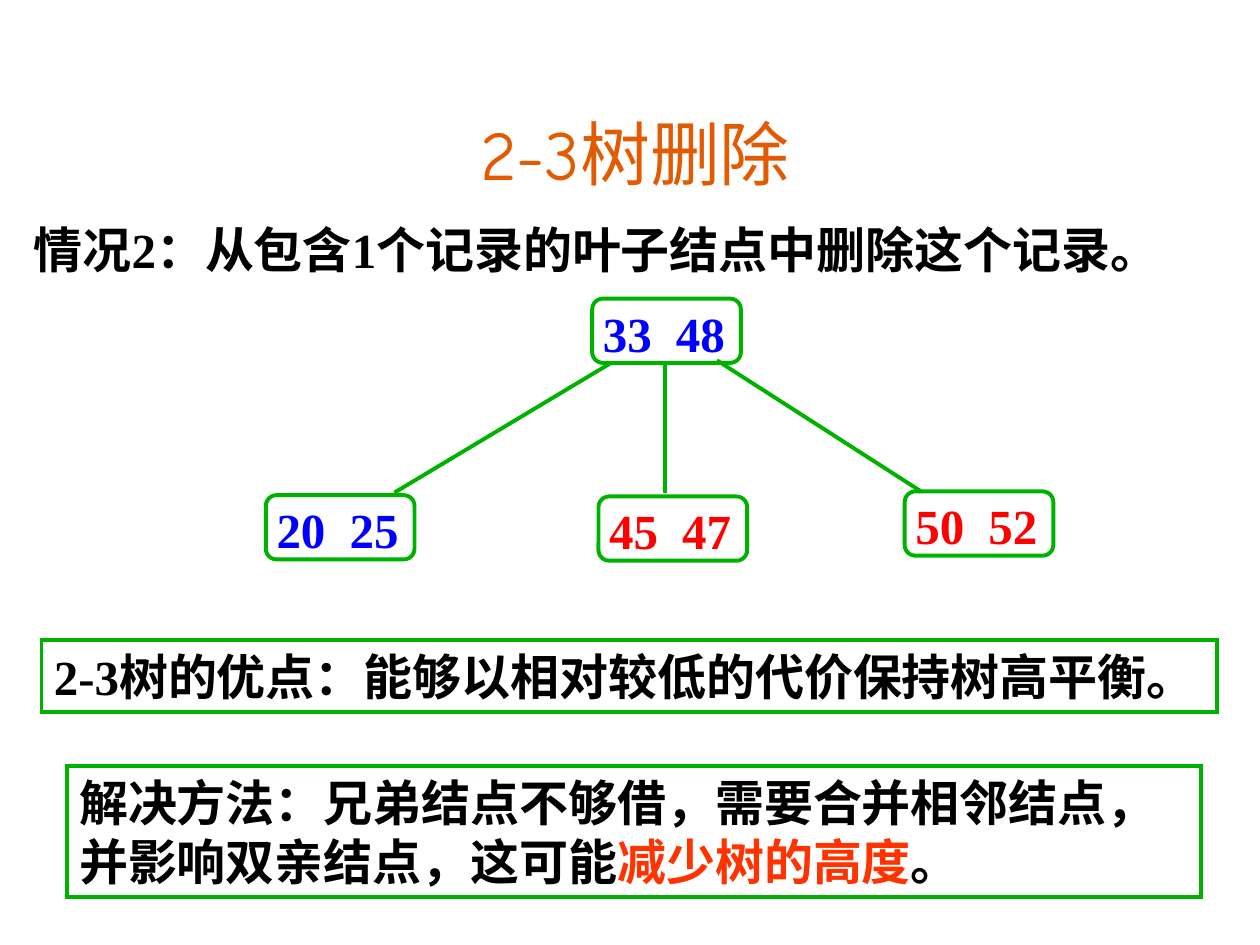
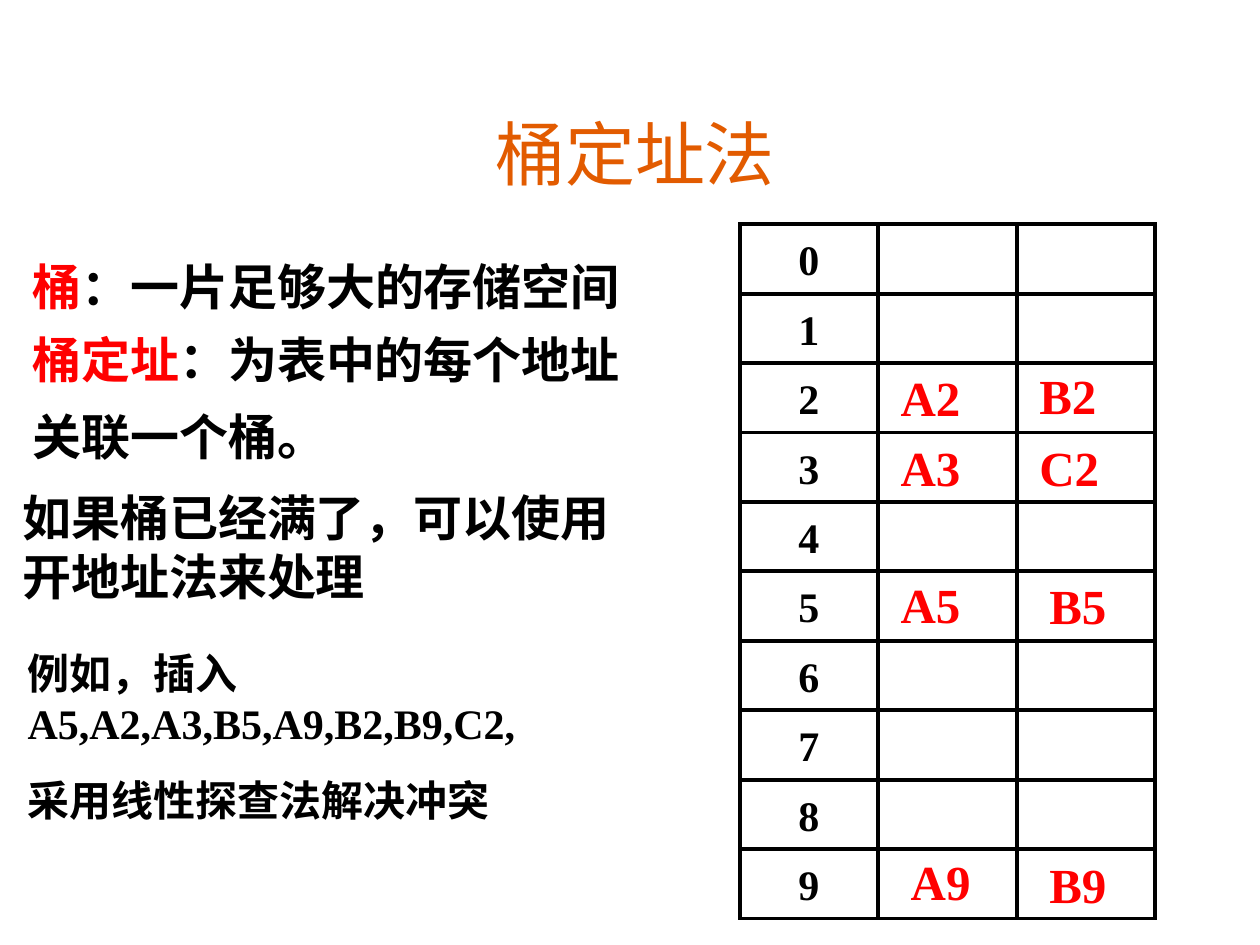
import pptx
import pptx.dml.color
import pptx.enum.shapes
import pptx.enum.text
import pptx.oxml.ns
import pptx.util
from lxml import etree
from pptx.util import Inches, Pt

BODY_FONT, TITLE_FONT = "Times New Roman", "Comic Neue"
BLACK, WHITE, RED, BLUE = "000000", "FFFFFF", "FF0000", "0000FF"
GREEN, ORANGE, VERMILION = "00B200", "E25B00", "FF3300"
LINE_WIDTH = Pt(2.25)
TEXT_INSETS = (0.1, 0.05, 0.1, 0.05)
ANCHOR = pptx.enum.text.MSO_ANCHOR
ALIGN = pptx.enum.text.PP_ALIGN
SHAPE = pptx.enum.shapes.MSO_SHAPE
qn = pptx.oxml.ns.qn


# Shared helpers
def color(hex_string):
    return pptx.dml.color.RGBColor.from_string(hex_string)


def add_run(paragraph, text, hex_string, size=28, font=BODY_FONT, bold=True):
    run = paragraph.add_run()
    run.text = text
    run.font.name = font
    run.font.size = Pt(size)
    run.font.bold = bold
    run.font.color.rgb = color(hex_string)


def set_frame(frame, insets=TEXT_INSETS, anchor=ANCHOR.TOP, wrap=True):
    frame.margin_left, frame.margin_top, frame.margin_right, frame.margin_bottom = map(Inches, insets)
    frame.vertical_anchor = anchor
    frame.word_wrap = wrap


def add_text(slide, box, paragraphs, size=28, anchor=ANCHOR.TOP, wrap=True,
             space_before=0, line_spacing=None):
    """Each paragraph is a list of (text, colour) runs."""
    frame = slide.shapes.add_textbox(*map(Inches, box)).text_frame
    set_frame(frame, anchor=anchor, wrap=wrap)
    for index, runs in enumerate(paragraphs):
        paragraph = frame.add_paragraph() if index else frame.paragraphs[0]
        if index:
            paragraph.space_before = Pt(space_before)
        if line_spacing:
            paragraph.line_spacing = line_spacing
        for text, hex_string in runs:
            add_run(paragraph, text, hex_string, size)


def add_outlined_shape(slide, kind, box, line=GREEN, fill=None):
    shape = slide.shapes.add_shape(kind, *map(Inches, box))
    shape.shadow.inherit = False
    if fill:
        shape.fill.solid()
        shape.fill.fore_color.rgb = color(fill)
    else:
        shape.fill.background()
    shape.line.color.rgb = color(line)
    shape.line.width = LINE_WIDTH
    etree.SubElement(shape._element.spPr.find(qn("a:ln")), qn("a:miter"), lim="800000")
    return shape


def add_note(slide, box, runs, insets=TEXT_INSETS):
    shape = add_outlined_shape(slide, SHAPE.RECTANGLE, box)
    set_frame(shape.text_frame, insets, ANCHOR.MIDDLE)
    paragraph = shape.text_frame.paragraphs[0]
    paragraph.alignment = ALIGN.LEFT
    for text, hex_string in runs:
        add_run(paragraph, text, hex_string)


def add_titled_slide(presentation, text):
    slide = presentation.slides.add_slide(presentation.slide_layouts[5])
    title = slide.shapes.title
    title.left, title.top, title.width, title.height = map(Inches, (0.75, 0.75, 8.58, 0.84))
    title.text_frame.auto_size = pptx.enum.text.MSO_AUTO_SIZE.NONE
    set_frame(title.text_frame, anchor=ANCHOR.BOTTOM)
    paragraph = title.text_frame.paragraphs[0]
    paragraph.alignment = ALIGN.CENTER
    add_run(paragraph, text, ORANGE, 40, TITLE_FONT, bold=False)
    return slide


# 2-3 tree
def add_tree_node(slide, left, top, keys, hex_string):
    node = add_outlined_shape(slide, SHAPE.ROUNDED_RECTANGLE, (left, top, 1.18, 0.51))
    set_frame(node.text_frame, (0.06, 0.01, 0.02, 0.01))
    paragraph = node.text_frame.paragraphs[0]
    paragraph.alignment = ALIGN.LEFT
    tabs = etree.SubElement(paragraph._p.get_or_add_pPr(), qn("a:tabLst"))
    etree.SubElement(tabs, qn("a:tab"), pos=str(Inches(0.58)), algn="l")
    add_run(paragraph, "\t".join(keys), hex_string)


def add_branch(slide, *ends):
    branch = slide.shapes.add_connector(pptx.enum.shapes.MSO_CONNECTOR.STRAIGHT, *map(Inches, ends))
    branch.line.color.rgb = color(GREEN)
    branch.line.width = LINE_WIDTH
    etree.SubElement(branch._element.spPr, qn("a:effectLst"))


def add_tree(slide, left, top):
    branches = [(2.74, 0.51, 1.02, 1.54), (3.17, 0.51, 3.17, 1.54), (3.58, 0.49, 5.2, 1.53)]
    for x1, y1, x2, y2 in branches:
        add_branch(slide, left + x1, top + y1, left + x2, top + y2)
    nodes = [(2.59, 0, ("33", "48"), BLUE), (0, 1.56, ("20", "25"), BLUE),
             (2.64, 1.57, ("45", "47"), RED), (5.07, 1.53, ("50", "52"), RED)]
    for x, y, keys, hex_string in nodes:
        add_tree_node(slide, left + x, top + y, keys, hex_string)


def build_deletion_slide(presentation):
    slide = add_titled_slide(presentation, "2-3树删除")
    add_text(slide, (0.17, 1.69, 9.59, 0.57),
             [[("情况2：从包含1个记录的叶子结点中删除这个记录。", BLACK)]],
             anchor=ANCHOR.MIDDLE, wrap=False)
    add_tree(slide, 2.11, 2.37)
    add_note(slide, (0.33, 5.08, 9.33, 0.57),
             [("2-3树的优点：能够以相对较低的代价保持树高平衡。", BLACK)], (0.1, 0.05, 0, 0.05))
    add_note(slide, (0.53, 6.08, 9, 1.04),
             [("解决方法：兄弟结点不够借，需要合并相邻结点，并影响双亲结点，这可能", BLACK),
              ("减少树的高度", VERMILION), ("。", BLACK)])


# Bucket addressing
def add_bucket_grid(slide, left, top, width, height, row_count=10, column_count=3):
    cell_width, cell_height = width / column_count, height / row_count
    for address in range(row_count):
        for column in range(column_count):
            box = (left + column * cell_width, top + address * cell_height, cell_width, cell_height)
            cell = add_outlined_shape(slide, SHAPE.FLOWCHART_PROCESS, box, BLACK, WHITE)
            if column == 0:
                set_frame(cell.text_frame, anchor=ANCHOR.MIDDLE, wrap=False)
                paragraph = cell.text_frame.paragraphs[0]
                paragraph.alignment = ALIGN.CENTER
                add_run(paragraph, str(address), BLACK, 24)


def add_records(slide, left, top):
    records = [("A5", 1.18, 2.73), ("A2", 1.18, 1.09), ("A3", 1.18, 1.64), ("B5", 2.36, 2.74),
               ("A9", 1.26, 4.93), ("B2", 2.28, 1.07), ("B9", 2.36, 4.95), ("C2", 2.28, 1.64)]
    for record, x, y in records:
        add_text(slide, (left + x, top + y, 1.73, 0.57), [[(record, RED)]])


def build_bucket_slide(presentation):
    slide = add_titled_slide(presentation, "桶定址法")
    add_text(slide, (0.16, 1.99, 9.25, 0.57),
             [[("桶", RED), ("：一片足够大的存储空间", BLACK)]])
    add_text(slide, (0.16, 2.43, 5.2, 1.32),
             [[("桶定址", RED), ("：为表中的每个地址关联一个桶。", BLACK)]], line_spacing=1.3)
    add_text(slide, (0.08, 3.82, 5.2, 1.04),
             [[("如果桶已经满了，可以使用开地址法来处理", BLACK)]])
    add_text(slide, (0.12, 5.09, 4.49, 1.51),
             [[("例如，插入A5,A2,A3,B5,A9,B2,B9,C2,", BLACK)],
              [("采用线性探查法解决冲突", BLACK)]], size=24, space_before=15)
    add_bucket_grid(slide, 5.87, 1.78, 3.3, 5.51)
    add_records(slide, 5.87, 1.78)


def main():
    presentation = pptx.Presentation()
    presentation.slide_width, presentation.slide_height = Inches(10), Inches(7.5)
    build_deletion_slide(presentation)
    build_bucket_slide(presentation)
    presentation.save("out.pptx")


if __name__ == "__main__":
    main()
